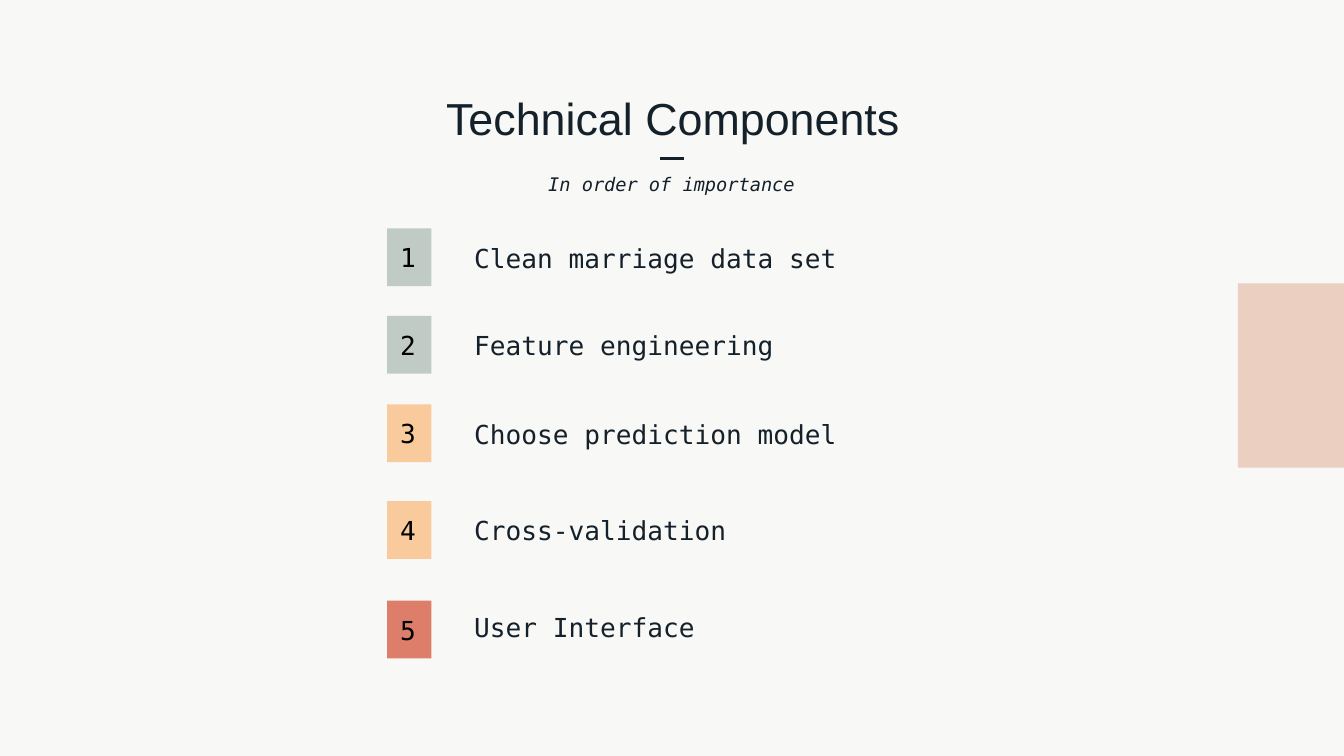
"""Build the Technical Components slide: five steps ranked by importance."""
import pptx
import pptx.util
from lxml import etree
from pptx.dml.color import RGBColor
from pptx.enum.shapes import MSO_CONNECTOR, MSO_SHAPE
from pptx.enum.text import MSO_ANCHOR, PP_ALIGN
from pptx.oxml.ns import qn

Inches = pptx.util.Inches
Pt = pptx.util.Pt

PAPER = RGBColor(0xF8, 0xF8, 0xF6)
INK = RGBColor(0x15, 0x21, 0x2A)
BLACK = RGBColor(0, 0, 0)
BLUSH = RGBColor(0xEB, 0xD0, 0xC2)
SAGE = RGBColor(0xC1, 0xCB, 0xC6)
PEACH = RGBColor(0xF9, 0xCB, 0x9C)
CORAL = RGBColor(0xDD, 0x7E, 0x6B)
HEAD_FONT = "Arial"
BODY_FONT = "DejaVu Sans Mono"

TITLE = "Technical Components"
SUBTITLE = "In order of importance"
COMPONENTS = [
    ("Clean marriage data set", SAGE, 1.7, 1.7),
    ("Feature engineering", SAGE, 2.35, 2.35),
    ("Choose prediction model", PEACH, 3.01, 3.01),
    ("Cross-validation", PEACH, 3.73, 3.73),
    ("User Interface", CORAL, 4.47, 4.45),
]


def set_text(sp, text, size, color, font=BODY_FONT, align=PP_ALIGN.LEFT,
             anchor=MSO_ANCHOR.TOP, italic=False):
    tf = sp.text_frame
    tf.word_wrap = True
    tf.vertical_anchor = anchor
    tf.margin_left = tf.margin_right = tf.margin_top = tf.margin_bottom = Inches(0.1)
    p = tf.paragraphs[0]
    p.text = text
    p.alignment = align
    p.font.size = Pt(size)
    p.font.name = font
    p.font.italic = italic
    p.font.color.rgb = color


def add_block(s, left, top, width, height, color):
    sp = s.shapes.add_shape(MSO_SHAPE.RECTANGLE, Inches(left), Inches(top),
                            Inches(width), Inches(height))
    sp.shadow.inherit = False
    sp.fill.solid()
    sp.fill.fore_color.rgb = color
    sp.line.fill.background()
    return sp


def add_label(s, left, top, width, text, size, **style):
    sp = s.shapes.add_textbox(Inches(left), Inches(top), Inches(width), Inches(0.49))
    set_text(sp, text, size, INK, **style)


def main():
    prs = pptx.Presentation()
    prs.slide_width = Inches(10)
    prs.slide_height = prs.slide_width * 9 // 16
    s = prs.slides.add_slide(prs.slide_layouts[5])
    s.background.fill.solid()
    s.background.fill.fore_color.rgb = PAPER

    add_block(s, 9.21, 2.11, 0.79, 1.37, BLUSH)
    rule = s.shapes.add_connector(MSO_CONNECTOR.STRAIGHT, Inches(5.09), Inches(1.18),
                                  Inches(4.91), Inches(1.18))
    rule.line.color.rgb = INK
    rule.line.width = Pt(1.5)
    etree.SubElement(rule._element.spPr, qn("a:effectLst"))

    title = s.shapes.title
    title.left, title.top = Inches(0.79), Inches(0.56)
    title.width, title.height = Inches(8.43), Inches(0.63)
    set_text(title, TITLE, 24, INK, font=HEAD_FONT, align=PP_ALIGN.CENTER,
             anchor=MSO_ANCHOR.MIDDLE)

    for rank, (name, color, block_top, label_top) in enumerate(COMPONENTS, 1):
        add_label(s, 3.43, label_top, 3.69, name, 14)
        block = add_block(s, 2.88, block_top, 0.33, 0.43, color)
        set_text(block, str(rank), 14, BLACK, anchor=MSO_ANCHOR.MIDDLE)

    add_label(s, 3.7, 1.2, 2.59, SUBTITLE, 10, align=PP_ALIGN.CENTER, italic=True)
    prs.save("out.pptx")


if __name__ == "__main__":
    main()
